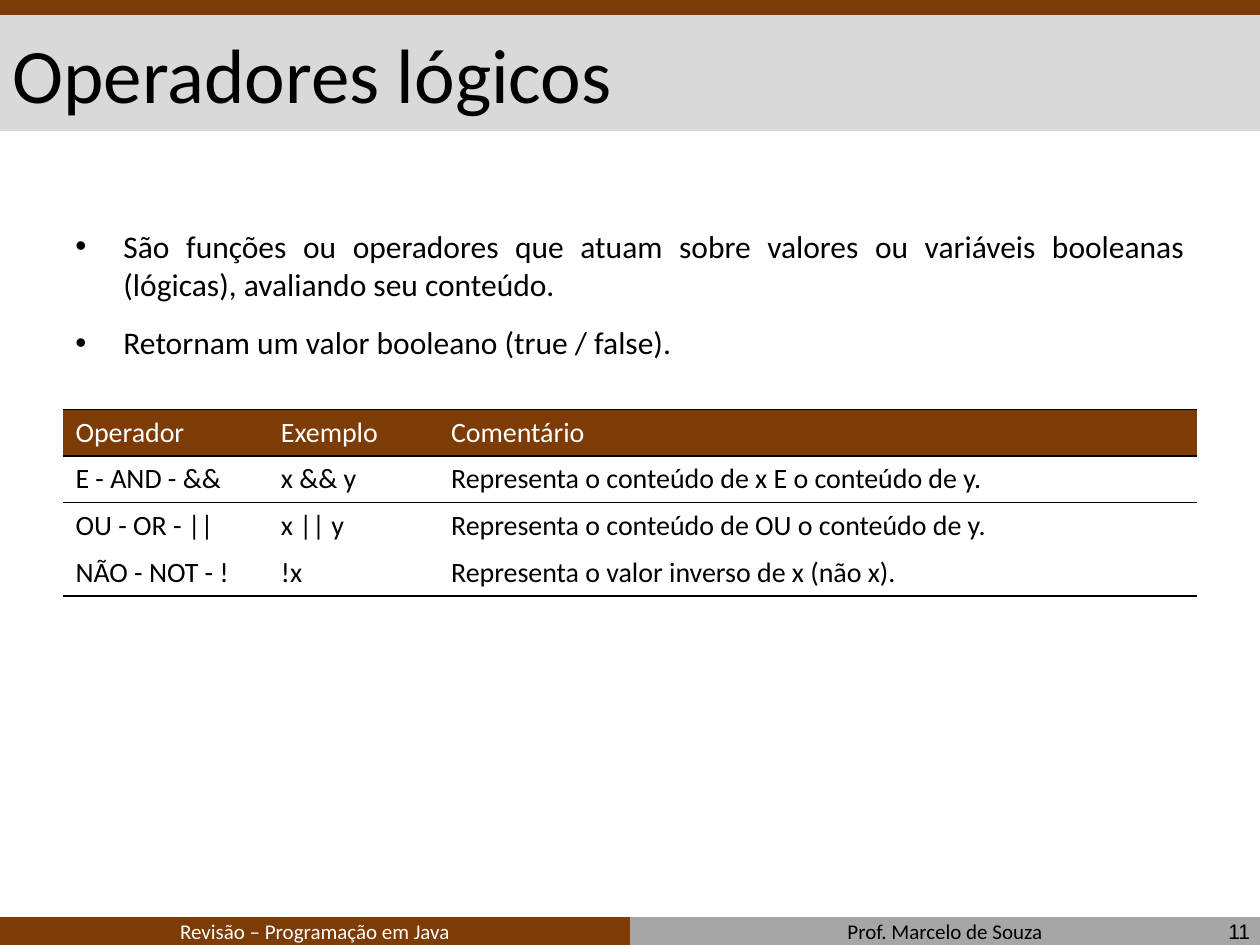
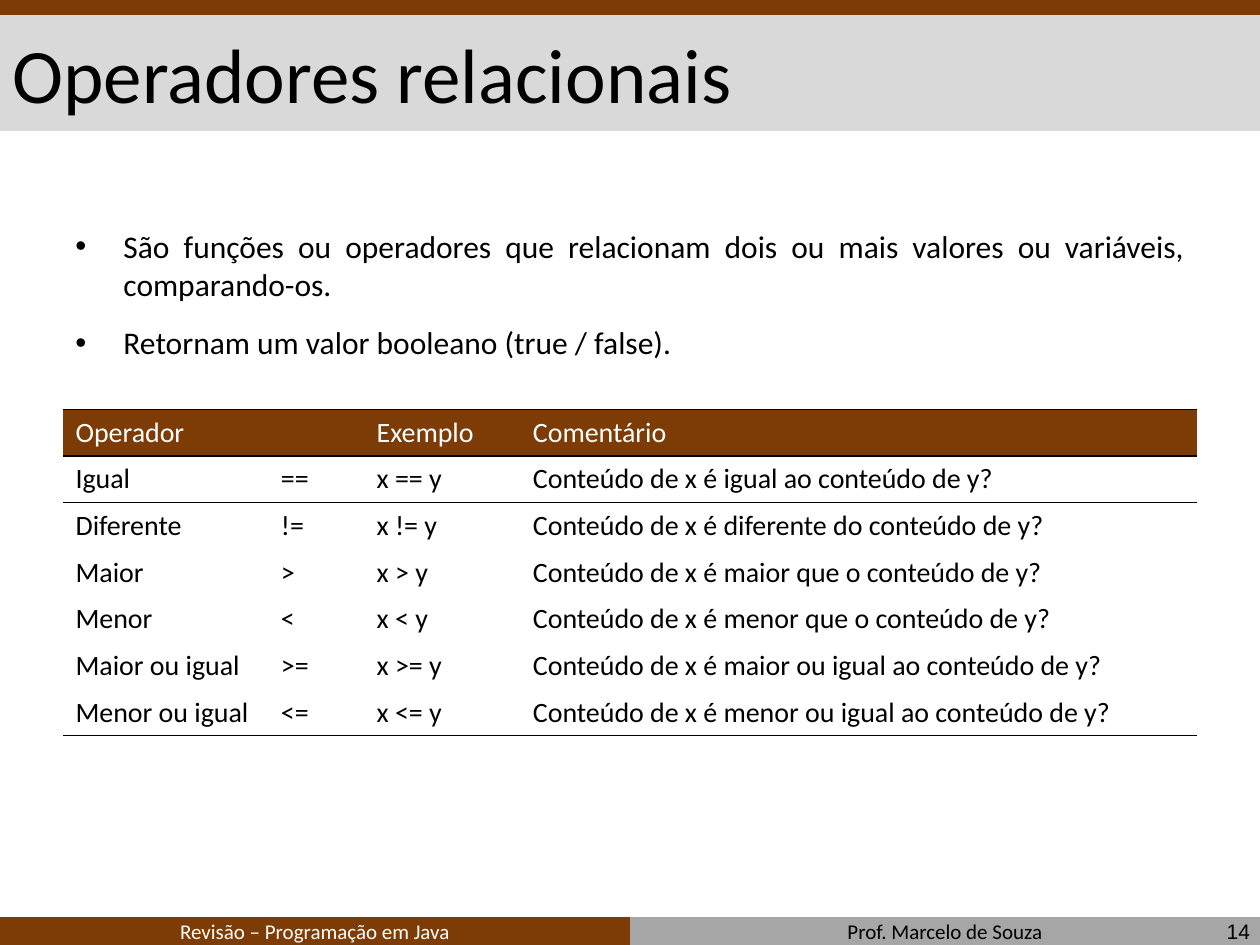
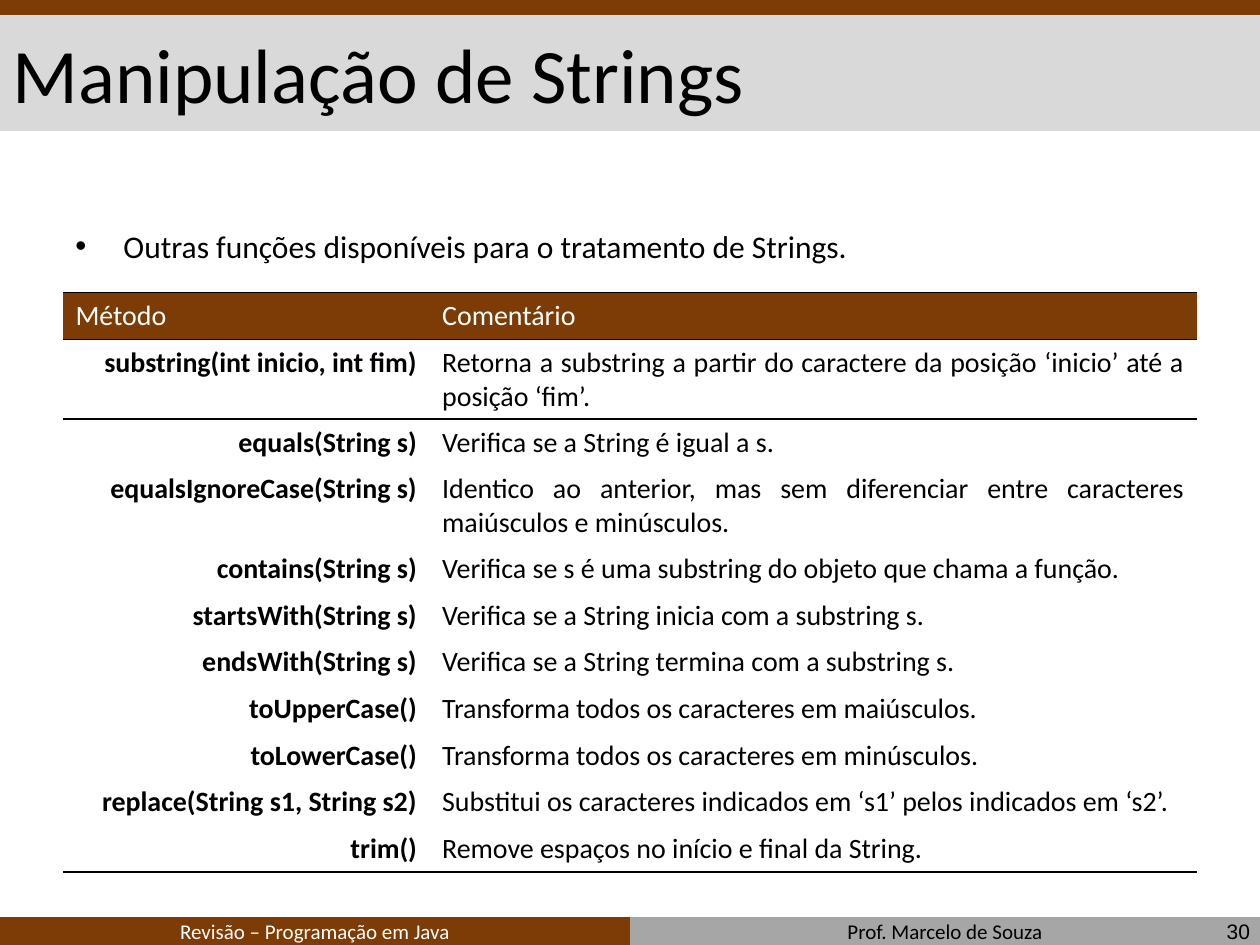
from collections import namedtuple

from lxml.etree import SubElement
from pptx import Presentation
from pptx.dml.color import RGBColor
from pptx.enum.shapes import MSO_SHAPE as Shape
from pptx.enum.text import MSO_ANCHOR as Anchor, PP_ALIGN as Align
from pptx.oxml.ns import qn
from pptx.util import Cm, Pt

BROWN = RGBColor(0x7D, 0x3B, 0x05)
SILVER = RGBColor(0xD9, 0xD9, 0xD9)
GRAY = RGBColor(0xA6, 0xA6, 0xA6)
BLACK = RGBColor(0, 0, 0)
WHITE = RGBColor(0xFF, 0xFF, 0xFF)

Box = namedtuple("Box", "left top width height")
SLIDE = Box(0, 0, 25.4, 19.05)
HEADER = Box(0, 0, SLIDE.width, 2.64)
FOOTER = Box(0, 18.49, SLIDE.width, 0.61)
BODY = Box(1.27, 4.45, 22.86, 13.34)
ROW_HEIGHT = 0.94
INDENT = 0.97

COURSE = "Revisão – Programação em Java"
AUTHOR = "Prof. Marcelo de Souza"
BOOLEAN_RESULT = "Retornam um valor booleano (true / false)."

LOGICAL = [
    ("Operador", "Exemplo", "Comentário"),
    ("E - AND - &&", "x && y", "Representa o conteúdo de x E o conteúdo de y."),
    ("OU - OR - ||", "x || y", "Representa o conteúdo de OU o conteúdo de y."),
    ("NÃO - NOT - !", "!x", "Representa o valor inverso de x (não x)."),
]
COMPARISONS = [
    ("Igual", "==", "igual ao"),
    ("Diferente", "!=", "diferente do"),
    ("Maior", ">", "maior que o"),
    ("Menor", "<", "menor que o"),
    ("Maior ou igual", ">=", "maior ou igual ao"),
    ("Menor ou igual", "<=", "menor ou igual ao"),
]
RELATIONAL = [("Operador", "", "Exemplo", "Comentário")] + [
    (name, sign, f"x {sign} y", f"Conteúdo de x é {relation} conteúdo de y?")
    for name, sign, relation in COMPARISONS
]
STRING_METHODS = [
    ("Método", "Comentário"),
    ("substring(int inicio, int fim)",
     "Retorna a substring a partir do caractere da posição ‘inicio’ até a posição ‘fim’."),
    ("equals(String s)", "Verifica se a String é igual a s."),
    ("equalsIgnoreCase(String s)",
     "Identico ao anterior, mas sem diferenciar entre caracteres maiúsculos e minúsculos."),
    ("contains(String s)", "Verifica se s é uma substring do objeto que chama a função."),
    ("startsWith(String s)", "Verifica se a String inicia com a substring s."),
    ("endsWith(String s)", "Verifica se a String termina com a substring s."),
    ("toUpperCase()", "Transforma todos os caracteres em maiúsculos."),
    ("toLowerCase()", "Transforma todos os caracteres em minúsculos."),
    ("replace(String s1, String s2)",
     "Substitui os caracteres indicados em ‘s1’ pelos indicados em ‘s2’."),
    ("trim()", "Remove espaços no início e final da String."),
]
PLAIN = {"align": Align.LEFT}
METHOD_STYLES = [{"align": Align.RIGHT, "bold": True}, {"align": Align.JUSTIFY}]


def to_cm(box):
    """Turn a box in centimetres into four lengths."""
    return [Cm(length) for length in box]


def write(paragraph, text, size=12, color=BLACK, font="Calibri", bold=False, align=Align.LEFT):
    """Write formatted text into a paragraph, keeping the size when it is empty."""
    paragraph.alignment = align
    if not text:
        SubElement(paragraph._p, qn("a:endParaRPr"), sz=str(size * 100))
        return
    run = paragraph.add_run()
    run.text = text
    run.font.size = Pt(size)
    run.font.name = font
    run.font.bold = bold
    run.font.color.rgb = color


def add_frame(slide, box, anchor=Anchor.TOP):
    """Add a wrapping text box and return its text frame."""
    frame = slide.shapes.add_textbox(*to_cm(box)).text_frame
    frame.word_wrap = True
    frame.vertical_anchor = anchor
    return frame


def add_label(slide, box, text, anchor=Anchor.MIDDLE, **style):
    """Add a text box of one paragraph."""
    write(add_frame(slide, box, anchor).paragraphs[0], text, **style)


def add_band(slide, box, color):
    """Add a plain coloured band."""
    band = slide.shapes.add_shape(Shape.RECTANGLE, *to_cm(box))
    band.shadow.inherit = False
    band.fill.solid()
    band.fill.fore_color.rgb = color
    band.line.fill.background()


def add_header(slide, box, title):
    """Draw the title on its band under the top strip."""
    strip = 0.3
    title_box = Box(box.left, box.top + strip, box.width, box.height - strip)
    add_band(slide, title_box, SILVER)
    add_band(slide, box._replace(height=strip), BROWN)
    add_label(slide, title_box, title, size=44)


def add_footer(slide, box, number):
    """Draw the two footer halves and the page number."""
    half = box.width / 2
    course_box = box._replace(width=half)
    author_box = course_box._replace(left=box.left + half)
    for part, fill, text, color in ((author_box, GRAY, AUTHOR, BLACK),
                                    (course_box, BROWN, COURSE, WHITE)):
        add_band(slide, part, fill)
        label_box = part._replace(top=box.top - 0.1, height=0.76)
        add_label(slide, label_box, text, Anchor.BOTTOM, color=color, align=Align.CENTER)
    number_box = Box(box.left + box.width - 5.87, box.top - 0.13, 5.92, 0.84)
    add_label(slide, number_box, str(number), font="Arial", align=Align.RIGHT)


def add_bullets(slide, box, points):
    """Write justified bullet points."""
    frame = add_frame(slide, box)
    for index, point in enumerate(points):
        paragraph = frame.add_paragraph() if index else frame.paragraphs[0]
        write(paragraph, point, size=18, align=Align.JUSTIFY)
        paragraph.space_before = Pt(12)
        properties = paragraph._p.get_or_add_pPr()
        properties.set("marL", str(Cm(INDENT)))
        properties.set("indent", str(-Cm(INDENT)))
        SubElement(properties, qn("a:buFont"), typeface="Arial")
        SubElement(properties, qn("a:buChar"), char="•")


def rule_cell(cell, above, below):
    """Draw only the horizontal borders that are asked for."""
    properties = cell._tc.get_or_add_tcPr()
    for side, ruled in (("L", False), ("R", False), ("T", above), ("B", below)):
        border = SubElement(properties, qn(f"a:ln{side}"), w=str(Pt(1)))
        if ruled:
            fill = SubElement(border, qn("a:solidFill"))
            SubElement(fill, qn("a:srgbClr"), val=str(BLACK))
        else:
            SubElement(border, qn("a:noFill"))


def add_grid(slide, box, rows, first_widths, styles):
    """Add a table whose last column takes the width that is left."""
    widths = [*first_widths, box.width - sum(first_widths)]
    table = slide.shapes.add_table(len(rows), len(widths), *to_cm(box)).table
    table.first_row = table.horz_banding = False
    for column, width in zip(table.columns, widths):
        column.width = Cm(width)
    ruled = {0, 1, 2, len(rows)}
    for r, texts in enumerate(rows):
        table.rows[r].height = Cm(ROW_HEIGHT)
        for c, text in enumerate(texts):
            cell = table.cell(r, c)
            rule_cell(cell, r in ruled, r + 1 in ruled)
            if r == 0:
                cell.fill.solid()
                cell.fill.fore_color.rgb = BROWN
                style = {"color": WHITE}
            else:
                cell.fill.background()
                style = styles[c]
            write(cell.text_frame.paragraphs[0], text, size=16, **style)


def add_topic(deck, number, title, points, rows, first_widths, styles, table_drop):
    """Build a slide of bullet points above a table."""
    slide = deck.slides.add_slide(deck.slide_layouts[6])
    add_header(slide, HEADER, title)
    add_footer(slide, FOOTER, number)
    add_bullets(slide, BODY, points)
    table_box = BODY._replace(top=BODY.top + table_drop, height=len(rows) * ROW_HEIGHT)
    add_grid(slide, table_box, rows, first_widths, styles)


def main():
    """Build and save the deck."""
    deck = Presentation()
    deck.slide_width, deck.slide_height = Cm(SLIDE.width), Cm(SLIDE.height)
    add_topic(deck, 11, "Operadores lógicos",
              ["São funções ou operadores que atuam sobre valores ou variáveis booleanas "
               "(lógicas), avaliando seu conteúdo.", BOOLEAN_RESULT],
              LOGICAL, [4.14, 3.43], [PLAIN] * 3, 3.8)
    add_topic(deck, 14, "Operadores relacionais",
              ["São funções ou operadores que relacionam dois ou mais valores ou variáveis, "
               "comparando-os.", BOOLEAN_RESULT],
              RELATIONAL, [4.14, 1.93, 3.15], [PLAIN] * 4, 3.8)
    add_topic(deck, 30, "Manipulação de Strings",
              ["Outras funções disponíveis para o tratamento de Strings."],
              STRING_METHODS, [7.39], METHOD_STYLES, 1.45)
    deck.save("out.pptx")


main()
